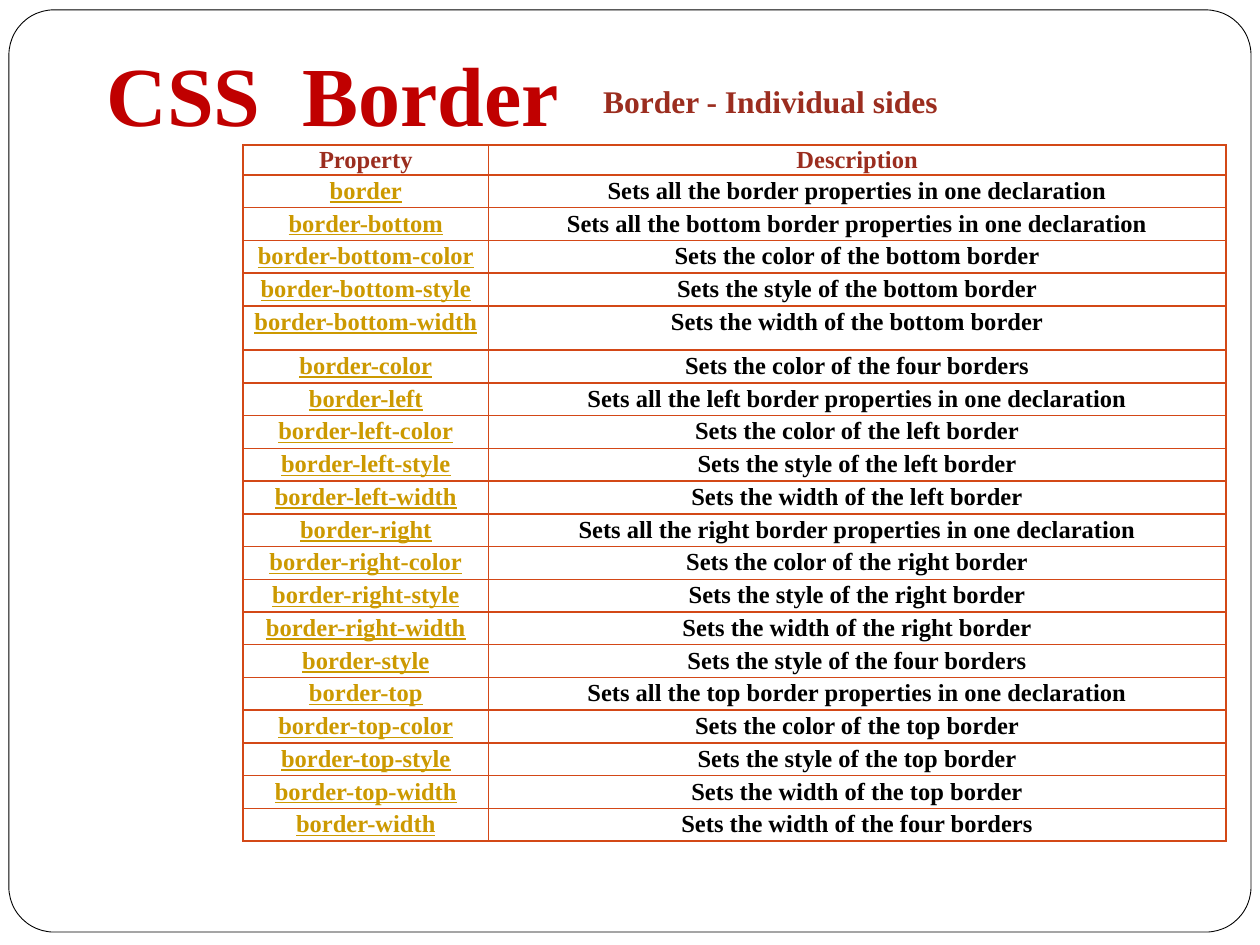
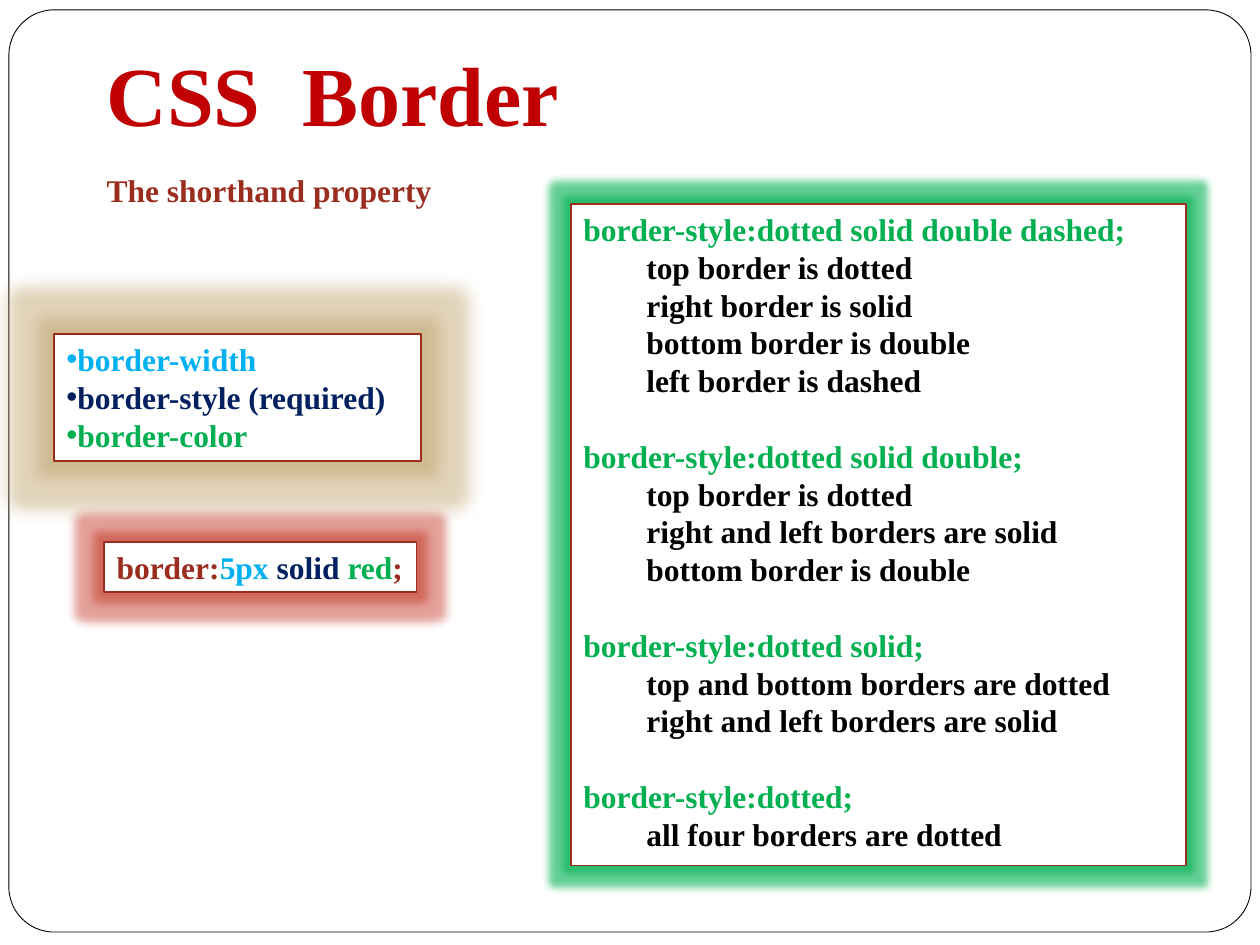
from dataclasses import dataclass
from typing import Optional

import lxml.etree
import pptx
import pptx.dml.color
import pptx.enum.shapes
import pptx.enum.text
import pptx.oxml
import pptx.oxml.ns
import pptx.util

Cm = pptx.util.Cm
Pt = pptx.util.Pt
qn = pptx.oxml.ns.qn

FONT = "Times New Roman"
WHITE, BLACK = "FFFFFF", "000000"
TITLE_RED, TITLE_EDGE = "C00000", "B41A06"
BRICK, ORANGE, GOLD = "9B2D1F", "D34817", "CC9900"
GREEN, SKY, NAVY = "00B050", "00B0F0", "002060"
LINE_PITCH = 21.6


@dataclass(frozen=True)
class Area:
    left: float
    top: float
    width: float
    height: float

    def lengths(self) -> tuple:
        return Cm(self.left), Cm(self.top), Cm(self.width), Cm(self.height)


@dataclass(frozen=True)
class Span:
    text: str
    color: str


@dataclass(frozen=True)
class Line:
    spans: tuple[Span, ...]
    indent: float = 0
    bullet: bool = False
    lines_before: int = 0


@dataclass(frozen=True)
class Glow:
    color: str
    radius: float
    opacity: int


@dataclass(frozen=True)
class Panel:
    area: Area
    lines: tuple[Line, ...]
    glow: Optional[Glow] = None
    wrap: bool = True


def rgb(color: str) -> pptx.dml.color.RGBColor:
    return pptx.dml.color.RGBColor.from_string(color)


def add_color(parent, color: str):
    fill = lxml.etree.SubElement(parent, qn("a:solidFill"))
    return lxml.etree.SubElement(fill, qn("a:srgbClr"), val=color)


def outline_element(name: str, color: str, points: float):
    outline = pptx.oxml.parse_xml(f"<a:{name} {pptx.oxml.ns.nsdecls('a')}/>")
    outline.set("w", str(Pt(points)))
    add_color(outline, color)
    return outline


def write_text(para, text: str, *, size: float = 18, color: str = BLACK,
               underline: bool = False, edge: Optional[str] = None) -> None:
    span = para.add_run()
    span.text = text
    span.font.name = FONT
    span.font.size = Pt(size)
    span.font.bold = True
    span.font.underline = underline
    span.font.color.rgb = rgb(color)
    if edge:
        span.font._element.insert(0, outline_element("ln", edge, 1.42))


def add_frame(page) -> None:
    frame = page.shapes.add_shape(
        pptx.enum.shapes.MSO_SHAPE.ROUNDED_RECTANGLE,
        *Area(0.18, 0.2, 25.04, 18.59).lengths())
    frame.adjustments[0] = 0.049
    frame.shadow.inherit = False
    frame.fill.solid()
    frame.fill.fore_color.rgb = rgb(WHITE)
    frame.line.color.rgb = rgb(BLACK)
    frame.line.width = Pt(0.5)


def add_title(page) -> None:
    box = page.shapes.add_textbox(*Area(1.9, 0.74, 19.53, 2.31).lengths())
    box.text_frame.word_wrap = True
    write_text(box.text_frame.paragraphs[0], "CSS  Border",
               size=48, color=TITLE_RED, edge=TITLE_EDGE)


def fill_line(para, line: Line) -> None:
    para.line_spacing = Pt(LINE_PITCH)
    para.space_before = Pt(LINE_PITCH * line.lines_before)
    properties = para._p.get_or_add_pPr()
    properties.set("marL", str(Cm(line.indent)))
    properties.set("indent", "0")
    if line.bullet:
        lxml.etree.SubElement(properties, qn("a:buFont"), typeface="Arial")
        lxml.etree.SubElement(properties, qn("a:buChar"), char="•")
    for span in line.spans:
        write_text(para, span.text, color=span.color)


def add_glow(box, glow: Glow) -> None:
    effects = box._element.spPr.find(qn("a:effectLst"))
    halo = lxml.etree.SubElement(effects, qn("a:glow"), rad=str(Pt(glow.radius)))
    tint = lxml.etree.SubElement(halo, qn("a:srgbClr"), val=glow.color)
    lxml.etree.SubElement(tint, qn("a:alpha"), val=str(glow.opacity * 1000))


def add_panel(page, panel: Panel) -> None:
    box = page.shapes.add_textbox(*panel.area.lengths())
    if panel.glow:
        box.fill.solid()
        box.fill.fore_color.rgb = rgb(WHITE)
        box.line.color.rgb = rgb(BRICK)
        box.line.width = Pt(1)
        box.shadow.inherit = False
        add_glow(box, panel.glow)
    frame = box.text_frame
    frame.word_wrap = panel.wrap
    if not panel.wrap:
        frame.auto_size = pptx.enum.text.MSO_AUTO_SIZE.SHAPE_TO_FIT_TEXT
    for index, line in enumerate(panel.lines):
        para = frame.add_paragraph() if index else frame.paragraphs[0]
        fill_line(para, line)


def subtitle(text: str, area: Area) -> Panel:
    return Panel(area, (Line((Span(text, BRICK),)),), wrap=False)


def property_rows() -> list[tuple[str, str]]:
    aspects = ("color", "style", "width")
    rows = {"border": "Sets all the border properties in one declaration"}
    for aspect in aspects:
        rows[f"border-{aspect}"] = f"Sets the {aspect} of the four borders"
    for side in ("bottom", "left", "right", "top"):
        rows[f"border-{side}"] = f"Sets all the {side} border properties in one declaration"
        for aspect in aspects:
            rows[f"border-{side}-{aspect}"] = f"Sets the {aspect} of the {side} border"
    return sorted(rows.items())


def fill_cell(cell, text: str, *, color: str, margin: float, underline: bool) -> None:
    cell.margin_left = cell.margin_right = Cm(margin)
    cell.margin_top = cell.margin_bottom = Cm(margin)
    cell.fill.background()
    properties = cell._tc.get_or_add_tcPr()
    for position, name in enumerate(("lnL", "lnR", "lnT", "lnB")):
        properties.insert(position, outline_element(name, ORANGE, 1))
    para = cell.text_frame.paragraphs[0]
    para.alignment = pptx.enum.text.PP_ALIGN.CENTER
    write_text(para, text, size=14, color=color, underline=underline)


def add_property_table(page) -> None:
    rows = [("Property", "Description"), *property_rows()]
    heights = [0.58] + [0.66] * (len(rows) - 1)
    heights[5] = 0.89
    widths = (4.95, 14.86)
    area = Area(4.9, 2.92, sum(widths), sum(heights))
    table = page.shapes.add_table(len(rows), len(widths), *area.lengths()).table
    table.first_row = False
    table.horz_banding = False
    for column, width in zip(table.columns, widths):
        column.width = Cm(width)
    for index, (row, height) in enumerate(zip(rows, heights)):
        table.rows[index].height = Cm(height)
        colors = (GOLD, BLACK) if index else (BRICK, BRICK)
        for place, (text, color) in enumerate(zip(row, colors)):
            fill_cell(table.cell(index, place), text, color=color,
                      margin=0.05 if index else 0.03,
                      underline=index > 0 and place == 0)


def style_lines() -> tuple[Line, ...]:
    examples = {
        "dotted solid double dashed": (
            "top border is dotted", "right border is solid",
            "bottom border is double", "left border is dashed"),
        "dotted solid double": (
            "top border is dotted", "right and left borders are solid",
            "bottom border is double"),
        "dotted solid": (
            "top and bottom borders are dotted", "right and left borders are solid"),
        "dotted": ("all four borders are dotted",),
    }
    lines: list[Line] = []
    for value, effects in examples.items():
        lines.append(Line((Span(f"border-style:{value};", GREEN),),
                          lines_before=1 if lines else 0))
        lines.extend(Line((Span(effect, BLACK),), indent=1.27) for effect in effects)
    return tuple(lines)


def add_page(deck):
    page = deck.slides.add_slide(deck.slide_layouts[6])
    add_frame(page)
    return page


def build_sides_page(deck) -> None:
    page = add_page(deck)
    add_property_table(page)
    add_title(page)
    add_panel(page, subtitle("Border - Individual sides", Area(11.91, 1.52, 7.29, 1.02)))


def build_shorthand_page(deck) -> None:
    page = add_page(deck)
    add_title(page)
    declaration = Line((Span("border:", BRICK), Span("5px ", SKY),
                        Span("solid ", NAVY), Span("red", GREEN), Span(";", BRICK)))
    parts = tuple(Line((Span(text, color),), bullet=True) for text, color in (
        ("border-width", SKY), ("border-style (required)", NAVY), ("border-color", GREEN)))
    panels = (
        Panel(Area(11.51, 4.11, 12.4, 13.34), style_lines(), Glow(GREEN, 8, 60)),
        subtitle("The shorthand property", Area(1.9, 3.33, 7.11, 1.02)),
        Panel(Area(2.1, 10.92, 6.3, 1.02), (declaration,),
              Glow("BA1400", 11, 40), wrap=False),
        Panel(Area(1.09, 6.73, 7.4, 2.57), parts, Glow("B79455", 18, 40)),
    )
    for panel in panels:
        add_panel(page, panel)


def main() -> None:
    deck = pptx.Presentation()
    deck.slide_width, deck.slide_height = Cm(25.4), Cm(19.05)
    build_sides_page(deck)
    build_shorthand_page(deck)
    deck.save("out.pptx")


main()
